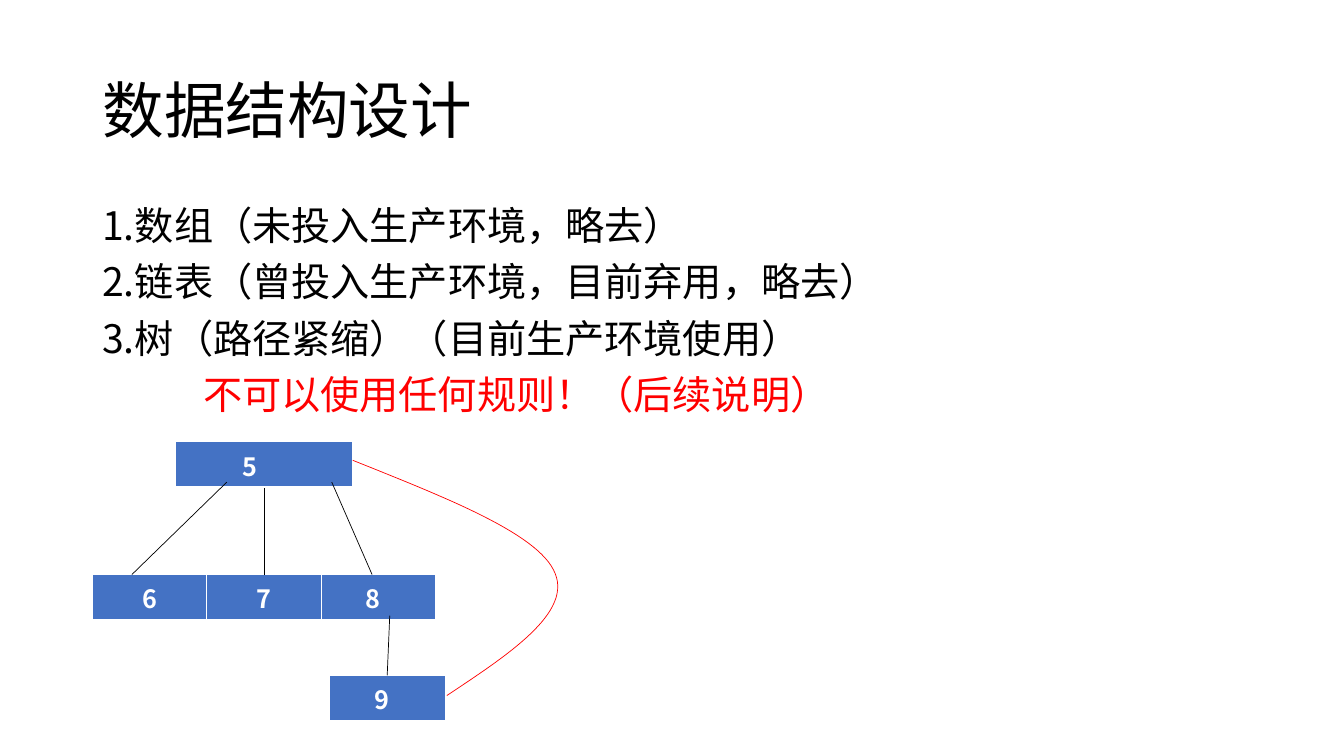
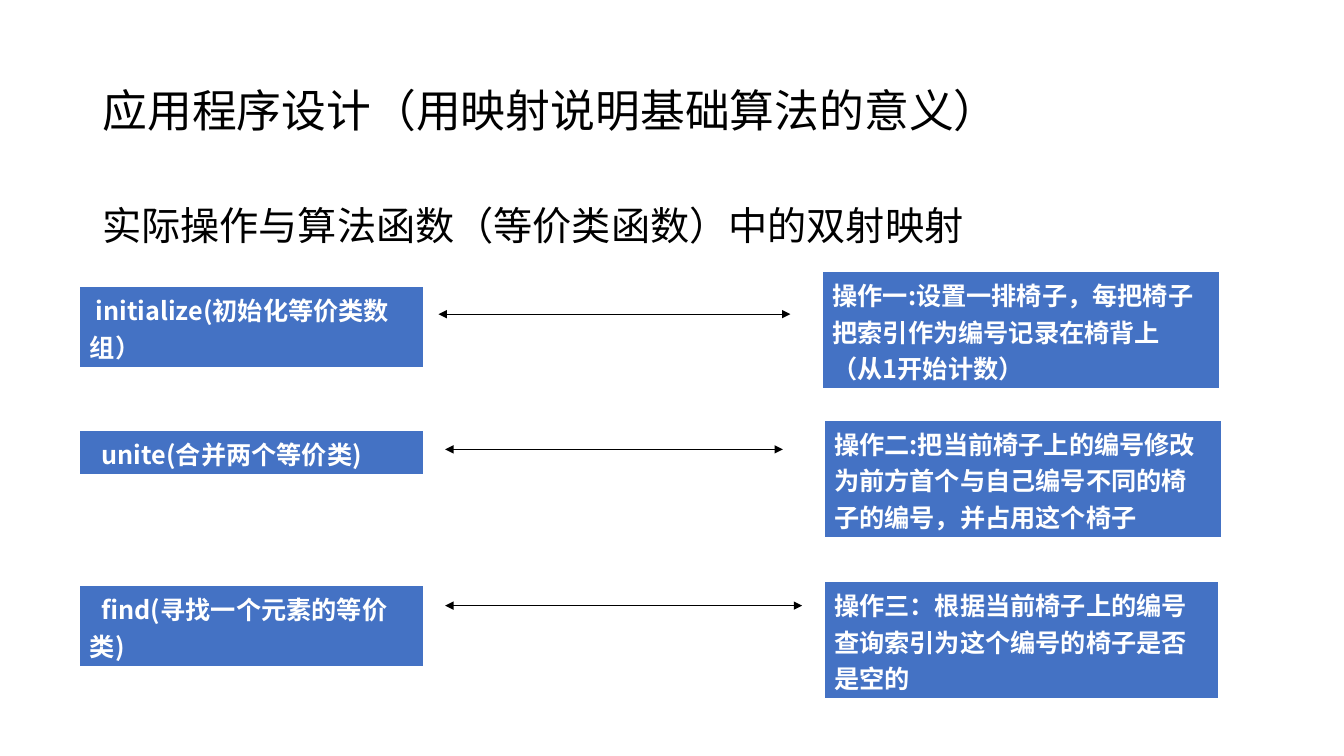
import dataclasses
import itertools
import typing

import lxml.etree
import pptx
import pptx.dml.color
import pptx.enum.shapes
import pptx.enum.text
import pptx.oxml.ns
import pptx.util

# Shared look
FONT = "Noto Sans CJK SC"
BLACK, WHITE, RED, BLUE = "000000", "FFFFFF", "FF0000", "4472C4"
BODY_SIZE, CELL_SIZE, HAIRLINE = 28, 18, 0.5
BORDERS = {"lnL": 1, "lnR": 1, "lnT": 1, "lnB": 3}

# Grid of square cells, 160 columns by 90 rows
COLUMNS, ROWS = 160, 90
UNIT = pptx.util.Inches(7.5) // ROWS
MARGIN, TEXT_WIDTH = 11, 138
TOP, LEFT, BOTTOM, RIGHT = range(4)

# Block height: padding plus one step for each line of text
BLOCK_PADDING, LINE_STEP = 1.2, 4.3

Point = tuple[float, float]


@dataclasses.dataclass
class Line:
    text: str
    color: str = BLACK
    indent: float = 0


@dataclasses.dataclass
class Cell:
    text: str
    inset: float = 1.2
    first_indent: float = 0


@dataclasses.dataclass
class Block:
    """A one-row table of equal blue cells."""
    left: float
    top: float
    width: float
    cells: list[Cell]
    line_count: int = 1

    @property
    def height(self) -> float:
        return BLOCK_PADDING + LINE_STEP * self.line_count


@dataclasses.dataclass
class Mapping:
    function: Block
    operation: Block
    arrow: tuple[Point, Point]


# Helpers
def grid(cells: float) -> pptx.util.Emu:
    return pptx.util.Emu(round(cells * UNIT))


def rgb(color: str) -> pptx.dml.color.RGBColor:
    return pptx.dml.color.RGBColor.from_string(color)


def add_xml(parent: typing.Any, tag: str, **attributes: str) -> typing.Any:
    return lxml.etree.SubElement(parent, pptx.oxml.ns.qn(f"a:{tag}"), attributes)


def add_span(para: typing.Any, text: str, size: float, color: str, bold: bool = False) -> None:
    span = para.add_run()
    span.text = text
    span.font.size = pptx.util.Pt(size)
    span.font.bold = bold
    span.font.color.rgb = rgb(color)
    span.font.name = FONT
    add_xml(span._r.get_or_add_rPr(), "ea", typeface=FONT)


def set_outline(shape: typing.Any, color: str) -> None:
    shape.line.color.rgb = rgb(color)
    shape.line.width = pptx.util.Pt(HAIRLINE)


# Slide parts
def add_page(deck: typing.Any, title: str, title_size: float, lines: list[Line]) -> typing.Any:
    page = deck.slides.add_slide(deck.slide_layouts[5])
    box = page.shapes.title
    box.left, box.top = grid(MARGIN), grid(4.8)
    box.width, box.height = grid(TEXT_WIDTH), grid(17.4)
    box.text_frame.auto_size = pptx.enum.text.MSO_AUTO_SIZE.NONE
    box.text_frame.vertical_anchor = pptx.enum.text.MSO_ANCHOR.MIDDLE
    para = box.text_frame.paragraphs[0]
    para.alignment = pptx.enum.text.PP_ALIGN.LEFT
    para.line_spacing = 0.9
    add_span(para, title, title_size, BLACK)

    body = page.shapes.add_textbox(grid(MARGIN), grid(24), grid(TEXT_WIDTH), grid(57.1))
    body.text_frame.word_wrap = True
    for number, line in enumerate(lines):
        para = body.text_frame.add_paragraph() if number else body.text_frame.paragraphs[0]
        para.line_spacing = 0.9
        para.space_before = pptx.util.Pt(10)
        if line.indent:
            para._p.get_or_add_pPr().set("marL", str(grid(line.indent)))
        add_span(para, line.text, BODY_SIZE, line.color)
    return page


def add_block(page: typing.Any, block: Block) -> typing.Any:
    frame = page.shapes.add_table(1, len(block.cells), grid(block.left), grid(block.top),
                                  grid(block.width), grid(block.height))
    frame.table.first_row = frame.table.horz_banding = False
    for cell, content in zip(frame.table.rows[0].cells, block.cells):
        cell.margin_left = grid(content.inset)
        properties = cell._tc.get_or_add_tcPr()
        for side, width in BORDERS.items():
            border = add_xml(properties, side, w=str(pptx.util.Pt(width)))
            add_xml(add_xml(border, "solidFill"), "srgbClr", val=WHITE)
        cell.fill.solid()
        cell.fill.fore_color.rgb = rgb(BLUE)
        para = cell.text_frame.paragraphs[0]
        if content.first_indent:
            para._p.get_or_add_pPr().set("indent", str(grid(content.first_indent)))
        add_span(para, content.text, CELL_SIZE, WHITE, bold=True)
    return frame


def add_line(page: typing.Any, start: Point, end: Point, arrows: bool = False) -> typing.Any:
    line = page.shapes.add_connector(pptx.enum.shapes.MSO_CONNECTOR.STRAIGHT,
                                     *map(grid, start + end))
    set_outline(line, BLACK)
    if arrows:
        for tip in ("headEnd", "tailEnd"):
            add_xml(line.line._get_or_add_ln(), tip, type="triangle")
    add_xml(line._element.spPr, "effectLst")
    return line


def bezier(knots: tuple[Point, ...], share: float) -> Point:
    """Point at a share of the way along a curve, by repeated interpolation."""
    while len(knots) > 1:
        knots = tuple((a[0] + (b[0] - a[0]) * share, a[1] + (b[1] - a[1]) * share)
                      for a, b in itertools.pairwise(knots))
    return knots[0]


def add_curve(page: typing.Any, pieces: list[tuple[Point, ...]], color: str, steps: int = 30) -> None:
    points = [tuple(map(grid, bezier(piece, step / steps)))
              for piece in pieces for step in range(steps + 1)]
    builder = page.shapes.build_freeform(*points[0])
    builder.add_line_segments(points[1:], close=False)
    curve = builder.convert_to_shape()
    curve.shadow.inherit = False
    curve.fill.background()
    set_outline(curve, color)


# Slide 1: tree
def build_structure(deck: typing.Any) -> None:
    page = add_page(deck, "数据结构设计", 44, [
        Line("1.数组（未投入生产环境，略去）"),
        Line("2.链表（曾投入生产环境，目前弃用，略去）"),
        Line("3.树（路径紧缩）（目前生产环境使用）"),
        Line("不可以使用任何规则！（后续说明）", RED, indent=12),
    ])
    children = add_block(page, Block(MARGIN, 68.4, 40.9,
                                     [Cell("6", 6), Cell("7", 5.9), Cell("8", 5.3)]))
    root = add_block(page, Block(20.9, 52.6, 21.1, [Cell("5", 8)]))
    leaf = add_block(page, Block(39.2, 80.4, 13.8, [Cell("9", 5.4)]))

    add_line(page, (27, 57.4), (15.7, 68.4))
    middle = add_line(page, (31.4, 57.4), (31.4, 68.4))
    middle.begin_connect(root, BOTTOM)
    middle.end_connect(children, TOP)
    add_line(page, (39.5, 57.4), (44.3, 68.4))
    add_line(page, (46.4, 73.3), (46.1, 80.4)).end_connect(leaf, TOP)

    bend = (66.1, 68.3)
    add_curve(page, [((53.2, 82.8), (60.6, 77.9), (68, 73), bend),
                     (bend, (64.3, 63.6), (53.2, 59.3), (42, 54.8))], RED)


# Slide 2: functions and operations
def function_block(top: float, line_count: int, text: str, indent: float) -> Block:
    return Block(9.5, top, 40.9, [Cell(text, first_indent=indent)], line_count)


def operation_block(left: float, top: float, width: float, text: str) -> Block:
    return Block(left, top, width, [Cell(text)], line_count=3)


def build_application(deck: typing.Any) -> None:
    page = add_page(deck, "应用程序设计（用映射说明基础算法的意义）", 32,
                    [Line("实际操作与算法函数（等价类函数）中的双射映射")])
    mappings = [
        Mapping(function_block(34.1, 2, "initialize(初始化等价类数组）", 0.7),
                operation_block(97.9, 32.3, 47.3,
                                "操作一:设置一排椅子，每把椅子把索引作为编号记录在椅背上（从1开始计数）"),
                ((52.2, 37.4), (94.1, 37.4))),
        Mapping(function_block(51.2, 1, "unite(合并两个等价类)", 1.4),
                operation_block(98.1, 50, 47.3,
                                "操作二:把当前椅子上的编号修改为前方首个与自己编号不同的椅子的编号，并占用这个椅子"),
                ((53, 53.5), (93.2, 53.5))),
        Mapping(function_block(69.7, 2, "find(寻找一个元素的等价类)", 1.4),
                operation_block(98.1, 69.2, 47,
                                "操作三：根据当前椅子上的编号查询索引为这个编号的椅子是否是空的"),
                ((53, 72.1), (95.5, 72.1))),
    ]
    for mapping in mappings:
        add_block(page, mapping.function)
        add_line(page, *mapping.arrow, arrows=True)
        add_block(page, mapping.operation)


def main() -> None:
    deck = pptx.Presentation()
    deck.slide_width, deck.slide_height = grid(COLUMNS), grid(ROWS)
    build_structure(deck)
    build_application(deck)
    deck.save("out.pptx")


if __name__ == "__main__":
    main()
